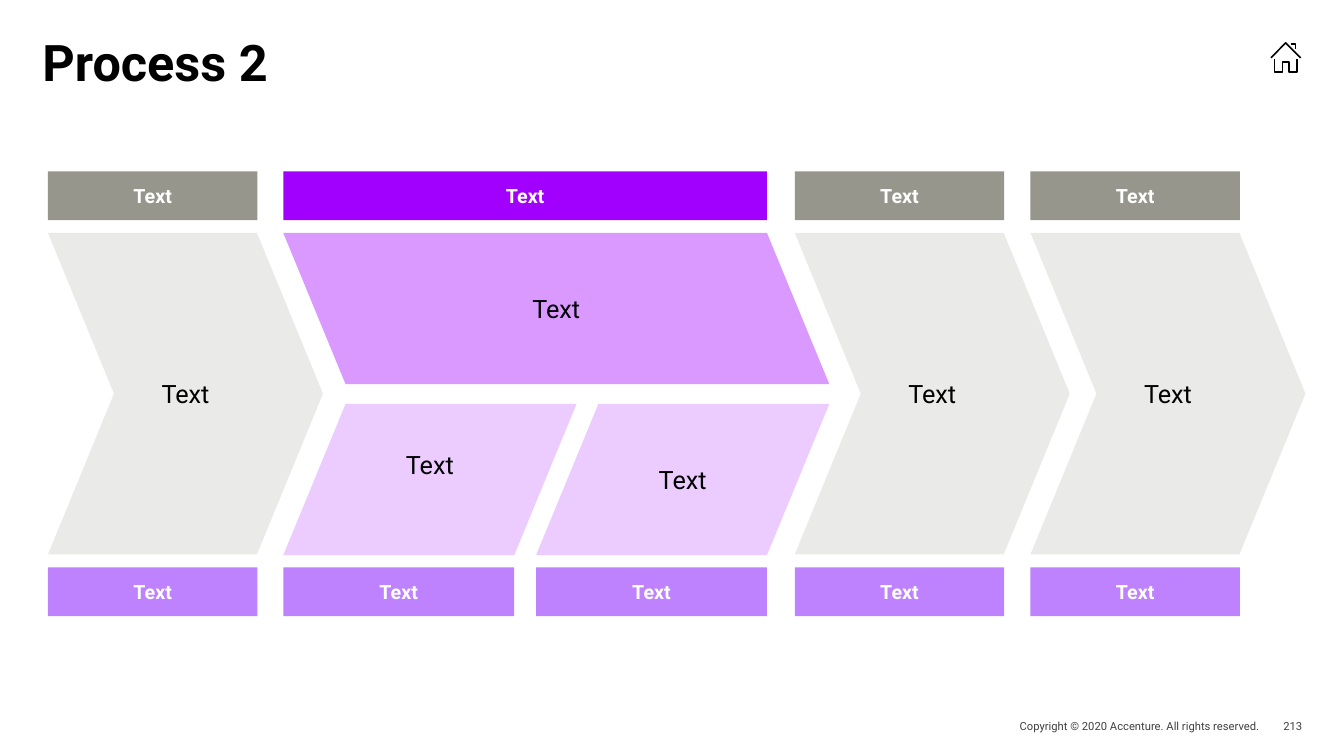
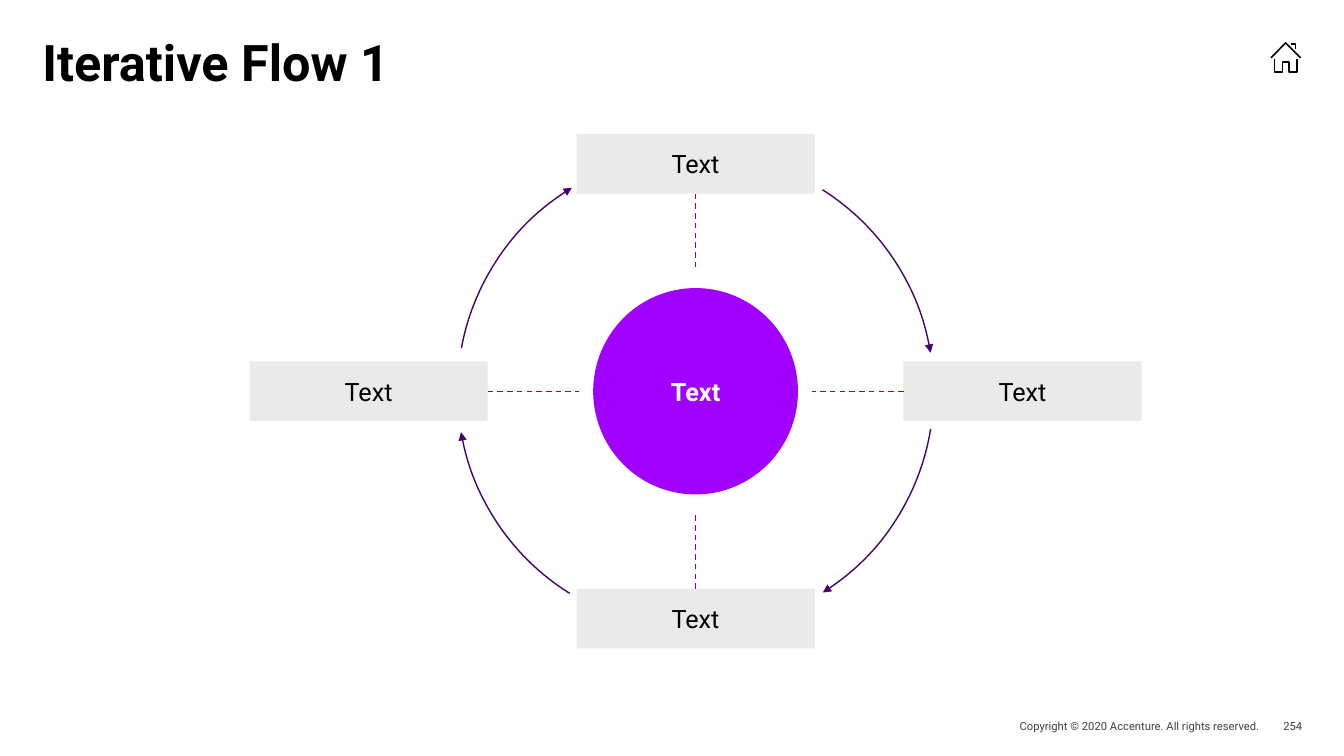
"""Build two diagram slides: a chevron process and an iterative flow."""
from lxml import etree
from pptx import Presentation
from pptx.dml.color import RGBColor
from pptx.enum.dml import MSO_LINE
from pptx.enum.shapes import MSO_CONNECTOR, MSO_SHAPE
from pptx.enum.text import MSO_ANCHOR, MSO_AUTO_SIZE, PP_ALIGN
from pptx.oxml.ns import qn
from pptx.util import Cm, Pt

RECT, OVAL = MSO_SHAPE.RECTANGLE, MSO_SHAPE.OVAL
CHEVRON, ARC = MSO_SHAPE.CHEVRON, MSO_SHAPE.ARC
STRAIGHT, DASH = MSO_CONNECTOR.STRAIGHT, MSO_LINE.DASH
LEFT, CENTER, RIGHT = PP_ALIGN.LEFT, PP_ALIGN.CENTER, PP_ALIGN.RIGHT
TOP, MIDDLE = MSO_ANCHOR.TOP, MSO_ANCHOR.MIDDLE

FONT = "Roboto"
COLORS = {
    "black": "000000", "white": "FFFFFF", "footer": "404040",
    "gray": "96968C", "pale": "EAEAE8", "purple": "A100FF",
    "lilac": "D999FF", "mist": "ECCCFF", "violet": "BE82FF",
    "dash": "7500C0", "arrow": "460073",
}
HOME = (
    ((32.12, 1.48), (32.12, 1.82), (32.32, 1.82), (32.32, 1.56),
     (32.49, 1.56), (32.49, 1.82), (32.69, 1.82), (32.69, 1.48)),
    ((32.53, 1.11), (32.65, 1.11), (32.65, 1.24)),
    ((32.03, 1.46), (32.4, 1.08), (32.78, 1.46)),
)


def rgb(name):
    return RGBColor.from_string(COLORS[name])


def cm(*values):
    return [Cm(v) for v in values]


class Deck:
    def __init__(self):
        self.prs = Presentation()
        self.prs.slide_width, self.prs.slide_height = cm(33.87, 19.05)
        self.s = None

    def slide(self, title, number):
        self.s = self.prs.slides.add_slide(self.prs.slide_layouts[5])
        sp = self.s.shapes.title
        sp.left, sp.top, sp.width, sp.height = cm(1.07, 1.07, 31.75, 2.74)
        self.add_text(sp, title, 36, "black", True, LEFT, TOP, 0)
        sp.text_frame.paragraphs[0].line_spacing = 0.8
        self.footer(23.11, 8.64, "Copyright © 2020 Accenture. All rights reserved.")
        self.footer(31.75, 1.07, number)
        self.outline(HOME)

    def add_text(self, sp, text, size, color, bold=False, align=CENTER,
                 anchor=MIDDLE, margin=0.2):
        tf = sp.text_frame
        tf.word_wrap, tf.auto_size = True, MSO_AUTO_SIZE.NONE
        tf.vertical_anchor = anchor
        tf.margin_left = tf.margin_right = Cm(margin)
        tf.margin_top = tf.margin_bottom = Cm(margin)
        p = tf.paragraphs[0]
        p.alignment = align
        r = p.add_run()
        r.text = text
        r.font.name, r.font.size, r.font.bold = FONT, Pt(size), bold
        r.font.color.rgb = rgb(color)

    def footer(self, x, w, text):
        sp = self.s.shapes.add_textbox(*cm(x, 18.01, w, 0.57))
        self.add_text(sp, text, 8, "footer", align=RIGHT, margin=0)

    def paint(self, sp, fill=None, line=None, width=1):
        sp.shadow.inherit = False
        if fill:
            sp.fill.solid()
            sp.fill.fore_color.rgb = rgb(fill)
        else:
            sp.fill.background()
        if line:
            sp.line.color.rgb = rgb(line)
            sp.line.width = Pt(width)
        else:
            sp.line.fill.background()

    def shape(self, kind, x, y, w, h, fill, size=18, color="black", bold=False):
        sp = self.s.shapes.add_shape(kind, *cm(x, y, w, h))
        self.paint(sp, fill)
        self.add_text(sp, "Text", size, color, bold)
        return sp

    def label(self, x, y, w, fill):
        self.shape(RECT, x, y, w, 1.23, fill, 14, "white", True)

    def freeform(self, contours, close):
        first = contours[0][0]
        builder = self.s.shapes.build_freeform(*cm(*first))
        for i, points in enumerate(contours):
            if i:
                builder.move_to(*cm(*points[0]))
            builder.add_line_segments([cm(*pt) for pt in points[1:]], close)
        return builder.convert_to_shape()

    def outline(self, contours):
        self.paint(self.freeform(contours, False), line="black", width=1.1)

    def slanted(self, points, fill):
        sp = self.freeform([points], True)
        self.paint(sp, fill)
        self.add_text(sp, "Text", 18, "black")
        return sp

    def dashed(self, x1, y1, x2, y2):
        ln = self.s.shapes.add_connector(STRAIGHT, *cm(x1, y1, x2, y2))
        ln.line.color.rgb = rgb("dash")
        ln.line.width, ln.line.dash_style = Pt(1), DASH
        etree.SubElement(ln._element.spPr, qn("a:effectLst"))

    def arc_arrow(self, cx, cy, radius, start, end):
        sp = self.s.shapes.add_shape(
            ARC, *cm(cx - radius, cy - radius, 2 * radius, 2 * radius))
        sp.adjustments[0], sp.adjustments[1] = start * 0.6, end * 0.6
        self.paint(sp, line="arrow")
        ln = sp._element.spPr.find(qn("a:ln"))
        etree.SubElement(ln, qn("a:tailEnd"), type="triangle")


def process(deck):
    deck.slide("Process 2", "213")
    columns, col_w = (1.21, 20.03, 25.97), 5.28
    mid, span, half, step, skew = 7.14, 12.19, 5.82, 6.37, 1.57
    top, row_h, low = 5.87, 3.81, 10.18
    for x in columns:
        sp = deck.shape(CHEVRON, x, top, 6.93, 8.1, "pale")
        sp.adjustments[0] = 0.24
        deck.label(x, 4.32, col_w, "gray")
        deck.label(x, 14.3, col_w, "violet")
    deck.label(mid, 4.32, span, "purple")
    deck.slanted(((mid, top), (mid + span, top),
                  (mid + span + skew, top + row_h),
                  (mid + skew, top + row_h)), "lilac")
    for x, bottom in ((mid, 0.96), (mid + step, 0.2)):
        sp = deck.slanted(((x + skew, low), (x + skew + half, low),
                           (x + half, low + row_h), (x, low + row_h)), "mist")
        sp.text_frame.margin_bottom = Cm(bottom)
        deck.label(x, 14.3, half, "violet")


def iterative_flow(deck):
    deck.slide("Iterative Flow 1", "254")
    cx, cy, box_w, box_h = 17.53, 9.86, 6, 1.5
    for dx, dy in ((0, -1), (1, 0), (0, 1), (-1, 0)):
        x, y = cx + 8.24 * dx, cy + 5.73 * dy
        deck.shape(RECT, x - box_w / 2, y - box_h / 2, box_w, box_h, "pale")
        deck.dashed(x - box_w / 2 * dx, y - box_h / 2 * dy,
                    cx + 2.94 * dx, cy + 3.07 * dy)
    deck.shape(OVAL, cx - 2.58, cy - 2.6, 5.16, 5.2, "purple", 18, "white", True)
    for start, end in ((302.2, 350.7), (9.1, 57.7), (121.9, 170.1), (190.4, 238.7)):
        deck.arc_arrow(cx, cy, 6, start, end)


def main():
    deck = Deck()
    process(deck)
    iterative_flow(deck)
    deck.prs.save("out.pptx")


if __name__ == "__main__":
    main()
